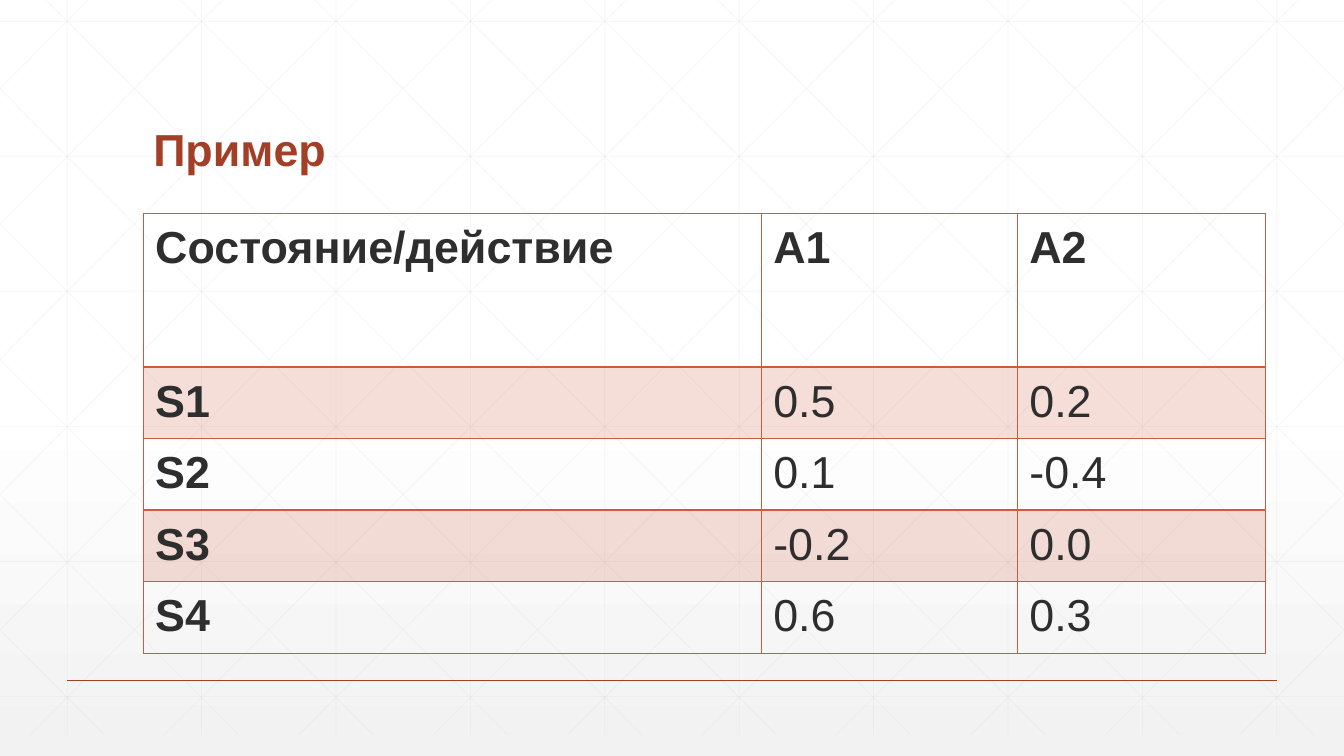
"""Build the slide with the example table of states and actions."""
import lxml.etree
import pptx
import pptx.dml.color
import pptx.enum.shapes
import pptx.enum.text
import pptx.oxml
import pptx.oxml.ns
import pptx.util

RGBColor = pptx.dml.color.RGBColor
RUST = RGBColor(0xA4, 0x3F, 0x27)
ORANGE = RGBColor(0xD1, 0x5A, 0x3E)
INK = RGBColor(0x2D, 0x2E, 0x2D)
GRID_GREY = RGBColor(0xD9, 0xD9, 0xD9)
WHITE = RGBColor(0xFF, 0xFF, 0xFF)
PALE_GREY = RGBColor(0xF2, 0xF2, 0xF2)

FONT = "Arial"
WIDTH, HEIGHT = 13.33, 7.5
CELL = WIDTH / 10
GRID_TOP = -0.21
GRID_BOTTOM = GRID_TOP + HEIGHT
DIAGONAL_RUN = 7.45
LEFT = 1.42

COLUMN_WIDTHS = (6.13, 2.54, 2.46)
ROW_HEIGHTS = (1.52, 0.71, 0.71, 0.71, 0.71)
REWARDS = (
    ("Состояние/действие", "A1", "A2"),
    ("S1", "0.5", "0.2"),
    ("S2", "0.1", "-0.4"),
    ("S3", "-0.2", "0.0"),
    ("S4", "0.6", "0.3"),
)


def inches(*lengths):
    """Convert lengths in inches to slide units."""
    return [pptx.util.Inches(length) for length in lengths]


def set_opacity(element, percent):
    """Make the colours inside an element partly transparent."""
    for color in element.iter(pptx.oxml.ns.qn("a:srgbClr")):
        alpha = lxml.etree.SubElement(color, pptx.oxml.ns.qn("a:alpha"))
        alpha.set("val", str(percent * 1000))


def style_text(paragraph, color, bold):
    """Set the font of a paragraph."""
    font = paragraph.font
    font.name, font.size, font.bold = FONT, pptx.util.Pt(32), bold
    font.color.rgb = color


def add_line(shapes, start, end, color, width):
    """Draw a straight line without a shadow."""
    line = shapes.add_connector(
        pptx.enum.shapes.MSO_CONNECTOR.STRAIGHT, *inches(*start, *end))
    line.line.color.rgb = color
    line.line.width = pptx.util.Pt(width)
    lxml.etree.SubElement(line.element.spPr, pptx.oxml.ns.qn("a:effectLst"))
    return line


def grid_lines():
    """List the ends of the upright, level and diagonal grid lines."""
    lines = []
    for column in range(10):
        x = CELL * (column + 0.5)
        lines.append(((x, GRID_TOP), (x, GRID_BOTTOM)))
    for row in range(6):
        y = 0.21 + 1.34 * row
        lines.append(((0, y), (WIDTH, y)))
    slope = HEIGHT / DIAGONAL_RUN
    for step in range(-5, 10):
        origin = 0.25 + CELL * step
        left, right = max(origin, 0), min(origin + DIAGONAL_RUN, WIDTH)
        top, bottom = (GRID_TOP + (x - origin) * slope for x in (left, right))
        lines.append(((left, top), (right, bottom)))
        lines.append(((WIDTH - left, top), (WIDTH - right, bottom)))
    return lines


def add_backdrop(page):
    """Fill the background and put the grid behind everything else."""
    fill = page.background.fill
    fill.gradient()
    fill.gradient_angle = 270
    for stop, color, position in zip(
            fill.gradient_stops, (WHITE, PALE_GREY), (0.53, 1)):
        stop.color.rgb, stop.position = color, position
    grid = page.shapes.add_group_shape()
    for start, end in grid_lines():
        line = add_line(grid.shapes, start, end, GRID_GREY, 0.5)
        set_opacity(line.element.spPr, 25)
    page.shapes.element.insert(2, grid.element)


def add_title(page, text):
    """Place and format the title."""
    title = page.shapes.title
    title.left, title.top, title.width, title.height = inches(
        LEFT, 0.55, 10.5, 1.25)
    frame = title.text_frame
    frame.text = text
    frame.vertical_anchor = pptx.enum.text.MSO_ANCHOR.BOTTOM
    paragraph = frame.paragraphs[0]
    paragraph.alignment = pptx.enum.text.PP_ALIGN.LEFT
    paragraph.line_spacing = 0.9
    style_text(paragraph, RUST, True)


def set_borders(cell, top, bottom):
    """Draw the four borders of a cell, with level widths in points."""
    properties = cell._tc.get_or_add_tcPr()
    sides = {"lnL": 1, "lnR": 1, "lnT": top, "lnB": bottom}
    for index, (side, width) in enumerate(sides.items()):
        border = pptx.oxml.parse_xml(
            f'<a:{side} {pptx.oxml.ns.nsdecls("a")} w="{pptx.util.Pt(width)}">'
            f'<a:solidFill><a:srgbClr val="{ORANGE}"/></a:solidFill></a:{side}>')
        properties.insert(index, border)


def fill_cell(cell, text, bold, shaded):
    """Write one table cell and set its fill."""
    cell.text = text
    cell.margin_left, cell.margin_top, cell.margin_right, cell.margin_bottom = (
        inches(0.12, 0.06, 0.12, 0.09))
    paragraph = cell.text_frame.paragraphs[0]
    paragraph.line_spacing = 1.07
    paragraph.space_after = pptx.util.Pt(8)
    style_text(paragraph, INK, bold)
    if shaded:
        cell.fill.solid()
        cell.fill.fore_color.rgb = ORANGE
        set_opacity(cell._tc.tcPr, 20)
    else:
        cell.fill.background()


def add_rewards_table(page):
    """Add the table of states and actions."""
    frame = page.shapes.add_table(
        len(ROW_HEIGHTS), len(COLUMN_WIDTHS),
        *inches(LEFT, 2.12, sum(COLUMN_WIDTHS), sum(ROW_HEIGHTS)))
    table = frame.table
    table.first_row = table.horz_banding = False
    for column, width in zip(table.columns, COLUMN_WIDTHS):
        column.width = pptx.util.Inches(width)
    for row, height in zip(table.rows, ROW_HEIGHTS):
        row.height = pptx.util.Inches(height)
    for i, texts in enumerate(REWARDS):
        for j, text in enumerate(texts):
            cell = table.cell(i, j)
            fill_cell(cell, text, bold=i == 0 or j == 0, shaded=i % 2 == 1)
            set_borders(cell, 2 if i == 1 else 1, 2 if i == 0 else 1)


def main():
    """Build and save the deck."""
    deck = pptx.Presentation()
    deck.slide_width, deck.slide_height = inches(WIDTH, HEIGHT)
    page = deck.slides.add_slide(deck.slide_layouts.get_by_name("Title Only"))
    add_backdrop(page)
    add_line(page.shapes, (WIDTH * 0.05, HEIGHT * 0.9),
             (WIDTH * 0.95, HEIGHT * 0.9), RUST, 1)
    add_title(page, "Пример")
    add_rewards_table(page)
    deck.save("out.pptx")


if __name__ == "__main__":
    main()
